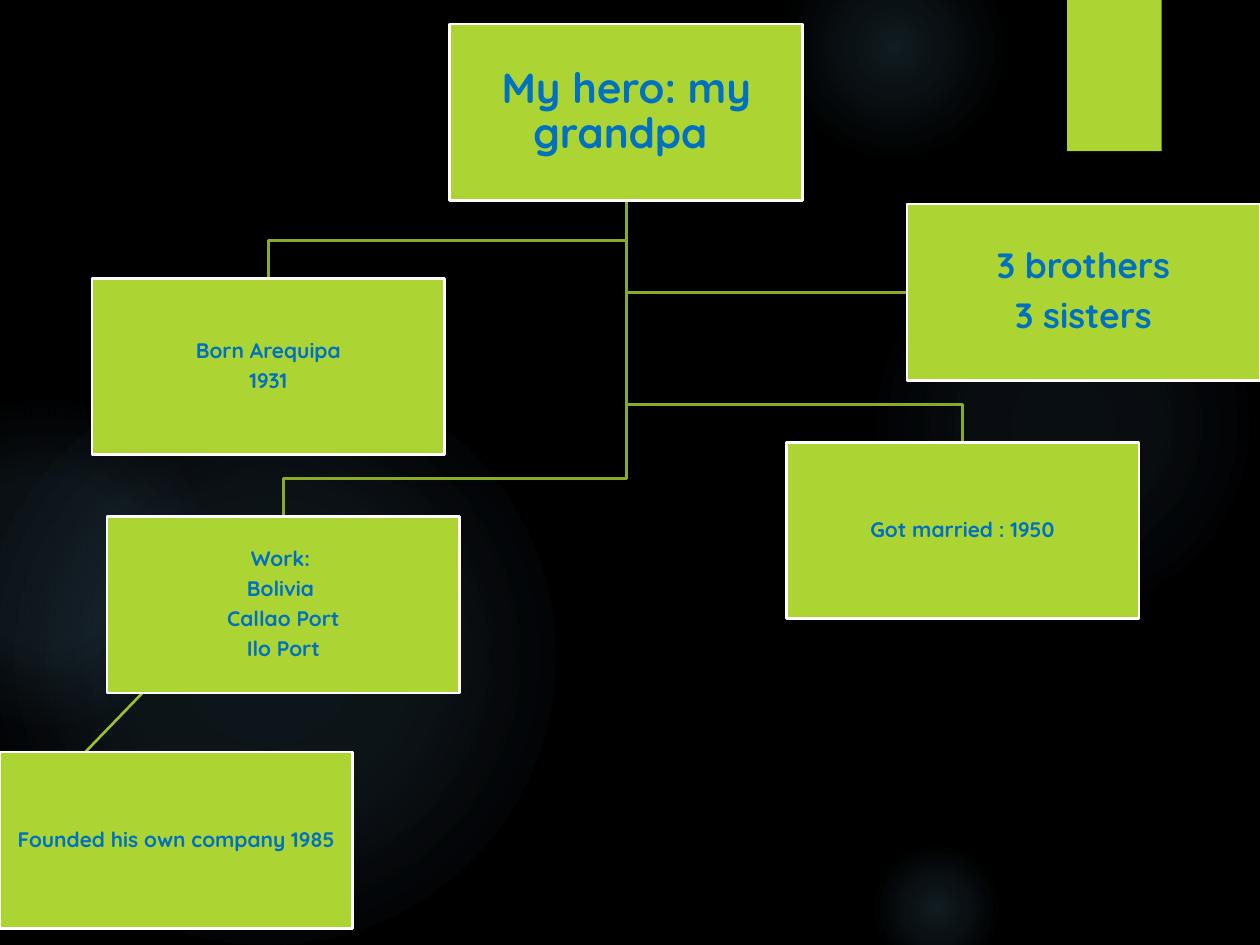
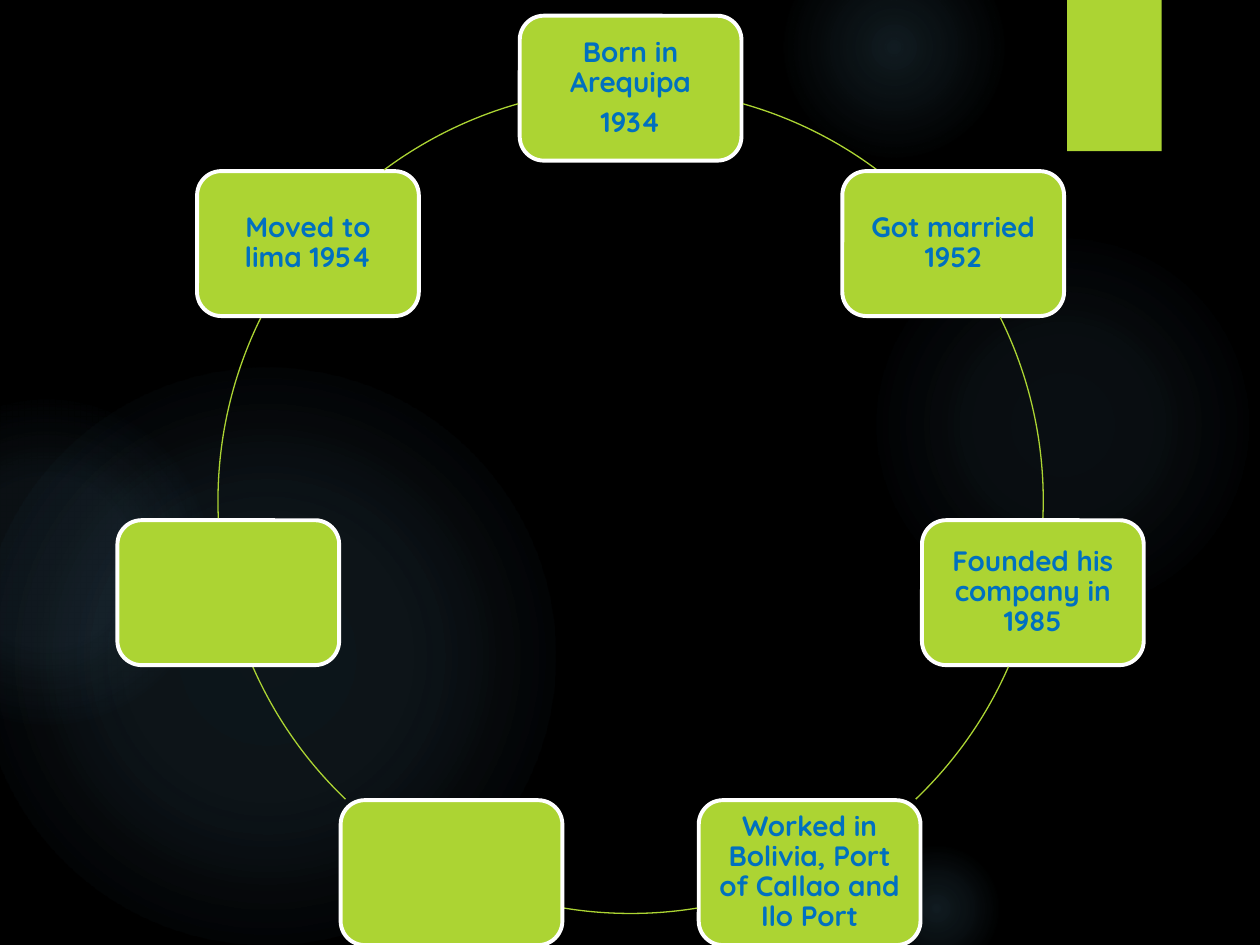
from dataclasses import dataclass
from math import cos, pi, sin

from lxml import etree
from pptx import Presentation
from pptx.dml.color import RGBColor
from pptx.enum.shapes import MSO_CONNECTOR, MSO_SHAPE
from pptx.enum.text import MSO_ANCHOR, PP_ALIGN
from pptx.oxml.ns import nsdecls, qn
from pptx.util import Inches, Pt

RECT, ROUND = MSO_SHAPE.RECTANGLE, MSO_SHAPE.ROUNDED_RECTANGLE
OVAL, ARC = MSO_SHAPE.OVAL, MSO_SHAPE.ARC
STRAIGHT = MSO_CONNECTOR.STRAIGHT
CENTER, MIDDLE = PP_ALIGN.CENTER, MSO_ANCHOR.MIDDLE


@dataclass(frozen=True)
class Theme:
    font: str = "Quicksand"
    back: str = "000000"
    lime: str = "ACD433"
    olive: str = "8AAA29"
    moss: str = "9CC02E"
    white: str = "FFFFFF"
    blue: str = "0070C0"
    glow: str = "7AC4F0"
    title: int = 24
    large: int = 20
    cycle: int = 16
    small: int = 12


THEME = Theme()

# Glows: left, top, size, then (position %, opacity %) stops
GLOWS = [
    (6.89, 1.83, 3.08, [(0, 7), (36, 6), (69, 0)]),
    (6.22, -0.5, 1.75, [(0, 14), (36, 7), (73, 0)]),
    (6.89, 6.67, 1.08, [(0, 14), (36, 7), (66, 0)]),
    (-0.17, 2.92, 4.58, [(0, 11), (36, 10), (75, 0)]),
    (-0.92, 3.17, 2.58, [(0, 8), (36, 8), (72, 0)]),
]


def rgb(color):
    return RGBColor.from_string(color)


def write(shape, lines, size, inset):
    """Fill a shape with centred bold paragraphs."""
    frame = shape.text_frame
    frame.word_wrap = True
    frame.vertical_anchor = MIDDLE
    frame.margin_left = frame.margin_right = Inches(inset)
    frame.margin_top = frame.margin_bottom = Inches(inset)
    for i, line in enumerate(lines):
        para = frame.add_paragraph() if i else frame.paragraphs[0]
        para.alignment = CENTER
        para.line_spacing = 0.9
        para.space_after = Pt(size * 0.35)
        run = para.add_run()
        run.text = line
        run.font.name = THEME.font
        run.font.size = Pt(size)
        run.font.bold = True
        run.font.color.rgb = rgb(THEME.blue)


def stroke(shape, color, width):
    shape.line.color.rgb = rgb(color)
    shape.line.width = Pt(width)


def draw(slide, kind, box, fill=None, line=None, width=1.5):
    shape = slide.shapes.add_shape(kind, *map(Inches, box))
    shape.shadow.inherit = False
    if fill:
        shape.fill.solid()
        shape.fill.fore_color.rgb = rgb(fill)
    else:
        shape.fill.background()
    if line:
        stroke(shape, line, width)
    else:
        shape.line.fill.background()
    return shape


def glow(slide, left, top, size, stops):
    """Circle whose light fades out towards the rim."""
    shape = draw(slide, OVAL, (left, top, size, size))
    marks = "".join(
        f'<a:gs pos="{pos * 1000}"><a:srgbClr val="{THEME.glow}">'
        f'<a:alpha val="{alpha * 1000}"/></a:srgbClr></a:gs>'
        for pos, alpha in stops)
    grad = etree.fromstring(
        f'<a:gradFill {nsdecls("a")} rotWithShape="1"><a:gsLst>{marks}</a:gsLst>'
        '<a:path path="circle"><a:fillToRect l="50000" t="50000" r="50000" b="50000"/>'
        '</a:path></a:gradFill>')
    props = shape._element.spPr
    props.replace(props.find(qn("a:noFill")), grad)


def new_slide(deck):
    """Black slide with the shared glows and the lime tab."""
    slide = deck.slides.add_slide(deck.slide_layouts[6])
    slide.background.fill.solid()
    slide.background.fill.fore_color.rgb = rgb(THEME.back)
    for item in GLOWS:
        glow(slide, *item)
    draw(slide, RECT, (8.47, 0, 0.75, 1.2), THEME.lime)
    return slide


def link(slide, points):
    """Bent line through the given points."""
    (x, y), *rest = points
    pen = slide.shapes.build_freeform(Inches(x), Inches(y))
    pen.add_line_segments([(Inches(a), Inches(b)) for a, b in rest], close=False)
    shape = pen.convert_to_shape()
    shape.shadow.inherit = False
    shape.fill.background()
    stroke(shape, THEME.olive, 1.5)


def tree(slide, left, top):
    """Family tree; card places are relative to the given corner."""
    wide, high, drop = 2.8, 1.4, 0.3
    cards = {
        "hero": (3.57, 0, ["My hero: my grandpa "], THEME.title),
        "born": (0.73, 2.02, ["Born Arequipa", "1931"], THEME.small),
        "work": (0.85, 3.91, ["Work: ", "Bolivia ", "Callao Port", "Ilo Port"],
                 THEME.small),
        "firm": (0, 5.78, ["Founded his own company 1985"], THEME.small),
        "wed": (6.24, 3.32, ["Got married : 1950"], THEME.small),
        "kin": (7.2, 1.43, ["3 brothers", "3 sisters"], THEME.large),
    }
    spots = {name: (left + x, top + y) for name, (x, y, *_) in cards.items()}

    # Lines from the root, then the slanted one below the work card
    trunk, base = spots["hero"][0] + wide / 2, spots["hero"][1] + high
    x, y = spots["kin"]
    link(slide, [(trunk, base), (trunk, y + high / 2), (x, y + high / 2)])
    for name in ("wed", "work", "born"):
        x, y = spots[name]
        mid = x + wide / 2
        link(slide, [(trunk, base), (trunk, y - drop), (mid, y - drop), (mid, y)])
    x, y = spots["work"]
    ends = (x + 0.28, y + high, left, top + 6.48)
    slant = slide.shapes.add_connector(STRAIGHT, *map(Inches, ends))
    stroke(slant, THEME.moss, 1.5)
    etree.SubElement(slant._element.spPr, qn("a:effectLst"))

    # Cards
    for name, (_, _, lines, size) in cards.items():
        card = draw(slide, RECT, (*spots[name], wide, high), THEME.lime, THEME.white)
        write(card, lines, size, 0.02 if name == "hero" else 0.01)


def cycle(slide, left, top, size):
    """Ring of life events, clockwise from the top of a round box."""
    wide, high, radius = 1.76, 1.15, size / 2
    events = [
        ["Born in Arequipa", "1934"],
        ["Got married 1952"],
        ["Founded his company in 1985"],
        ["Worked in Bolivia, Port of Callao and Ilo Port"],
        [],
        [],
        ["Moved to lima 1954"],
    ]
    # Visible arcs in degrees clockwise from the right; the left side mirrors
    arcs = [(285.8, 306.7), (333.6, 2.4), (23.7, 46.3), (80.7, 99.3)]
    arcs += [((180 - end) % 360, (180 - start) % 360)
             for start, end in reversed(arcs[:3])]
    for i, (lines, span) in enumerate(zip(events, arcs)):
        turn = 2 * pi * i / len(events)
        x = left + radius + radius * sin(turn) - wide / 2
        y = top + radius - radius * cos(turn) - high / 2
        card = draw(slide, ROUND, (x, y, wide, high), THEME.lime, THEME.white, 2.25)
        write(card, lines, THEME.cycle, 0.07)
        arc = draw(slide, ARC, (left, top, size, size), line=THEME.lime, width=0.75)
        for j, angle in enumerate(span):
            arc.adjustments[j] = angle * 0.6  # 60000ths of a degree over 100000


def main():
    deck = Presentation()
    deck.slide_width, deck.slide_height = Inches(10), Inches(7.5)
    tree(new_slide(deck), 0, 0.19)
    cycle(new_slide(deck), 1.73, 0.7, 6.55)
    deck.save("out.pptx")


if __name__ == "__main__":
    main()
